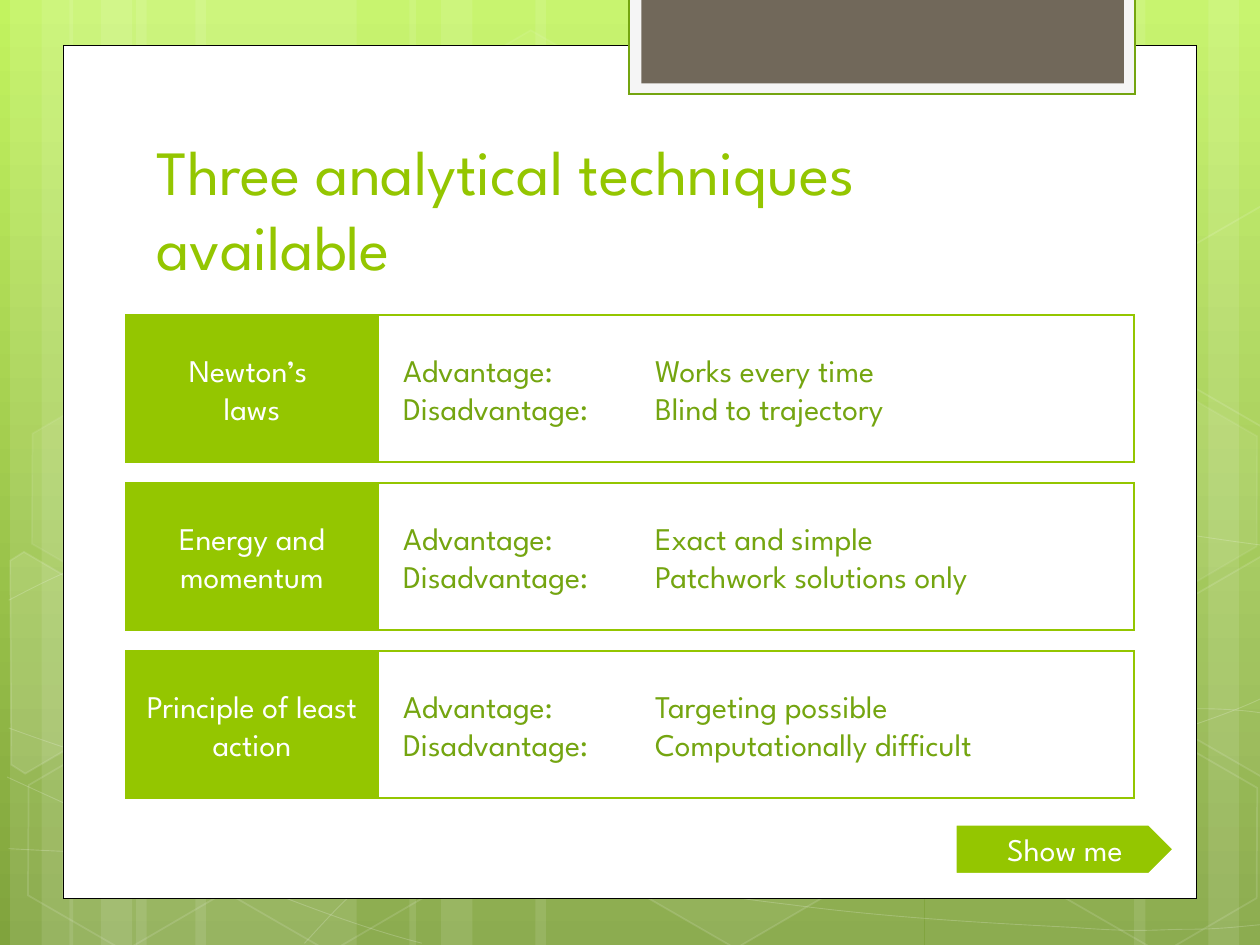
"""Build the slide comparing three analytical techniques."""
from dataclasses import dataclass
from typing import Optional

import pptx
import pptx.dml.color
import pptx.enum.shapes
import pptx.enum.text
import pptx.oxml.ns
import pptx.util

Pt = pptx.util.Pt
RGBColor = pptx.dml.color.RGBColor
MSO_SHAPE = pptx.enum.shapes.MSO_SHAPE
PP_ALIGN = pptx.enum.text.PP_ALIGN
MSO_ANCHOR = pptx.enum.text.MSO_ANCHOR
qn = pptx.oxml.ns.qn

FONT = "League Spartan"
WHITE = RGBColor(0xFF, 0xFF, 0xFF)
BLACK = RGBColor(0x00, 0x00, 0x00)
LIME = RGBColor(0x94, 0xC6, 0x00)
GREEN = RGBColor(0x74, 0xA5, 0x10)
PALE = RGBColor(0xF5, 0xF5, 0xF5)
TAUPE = RGBColor(0x71, 0x68, 0x5A)
SKY_TOP = RGBColor(0xC2, 0xF3, 0x5F)
SKY_BOTTOM = RGBColor(0x80, 0xA3, 0x3D)

SLIDE_W, SLIDE_H = 720, 540
ROW_LEFT, ROW_TOP, ROW_H, ROW_PITCH = 72, 180, 84, 96
LABEL_W, DETAIL_W, TAB_STOP = 144, 432, 144


@dataclass
class Style:
    fill: Optional[RGBColor] = None
    line: Optional[RGBColor] = None
    width: float = 1
    fill_alpha: int = 100
    line_alpha: int = 100


@dataclass
class Hexagon:
    left: float
    top: float
    fill_alpha: int
    line_alpha: int


@dataclass
class Outline:
    points: list
    fill_alpha: int


@dataclass
class Technique:
    name: str
    advantage: str
    disadvantage: str


STRIPES = [(77.8, 126), (5.8, 36), (23.8, 60), (111.6, 126), (39.6, 36), (57.6, 60),
           (528.5, 126), (690.5, 36), (648, 60), (306, 222), (234, 36), (252, 60)]

CURVES = [
    [(5, 485), (44, 487), (83, 489), (137, 488), (191, 487), (258, 486), (330, 479),
     (402, 472), (504, 458), (570, 444), (636, 431), (703, 409), (725, 397)],
    [(5, 343), (26, 332), (47, 321), (87, 310), (128, 300), (186, 284), (250, 279),
     (314, 274), (392, 273), (471, 279), (550, 284), (682, 307), (725, 312)],
    [(4, 444), (91, 484), (178, 523), (241, 539)],
    [(5, 416), (27, 424), (50, 432), (92, 444), (134, 454), (197, 472), (257, 485),
     (317, 497), (392, 510), (452, 517), (512, 525), (576, 528), (614, 530),
     (652, 533), (662, 531), (680, 531), (699, 531), (712, 529), (725, 528)],
    [(174, 539), (187, 525), (200, 510), (217, 498), (235, 484), (259, 470), (279, 460),
     (299, 450), (312, 446), (338, 438), (364, 431), (413, 421), (438, 416),
     (464, 411), (467, 411), (490, 410), (512, 408), (547, 405), (572, 405),
     (597, 404), (638, 405), (638, 405), (654, 405), (670, 405), (686, 405),
     (699, 405), (711, 406), (718, 407), (724, 408), (722, 407), (724, 408)],
]

HEXAGONS = [
    Hexagon(240.5, 25.9, 4, 8), Hexagon(357.1, 424.1, 6, 12),
    Hexagon(7.9, 425.5, 0, 12), Hexagon(10.1, 224.6, 7, 8),
    Hexagon(125.3, 426.2, 0, 12), Hexagon(542.2, 326.2, 10, 12),
    Hexagon(600.5, 427, 0, 12), Hexagon(600.5, 226.1, 7, 8),
]

CUT_HEXAGONS = [
    Outline([(5.8, 320.4), (13.7, 315.4), (69.1, 347.8), (68.4, 410.4),
             (14.4, 442.1), (6.5, 437)], 10),
    Outline([(666.7, 349.2), (721.4, 317.5), (726.5, 321.1), (726.5, 441.4),
             (721.4, 444.2), (666.7, 412.6)], 4),
    Outline([(666.7, 149), (721.4, 117.4), (727.2, 121), (726.5, 241.2),
             (721.4, 244.1), (666.7, 212.4)], 0),
]

TECHNIQUES = [
    Technique("Newton’s \vlaws", "Works every time", "Blind to trajectory"),
    Technique("Energy and\vmomentum", "Exact and simple", "Patchwork solutions only"),
    Technique("Principle of least action", "Targeting possible", "Computationally difficult"),
]


def add_child(parent, tag: str, **attributes: str):
    child = parent.makeelement(qn(tag), attributes)
    parent.append(child)
    return child


def set_alpha(parent, percent: int) -> None:
    if percent < 100:
        color = parent.find(qn("a:solidFill")).find(qn("a:srgbClr"))
        add_child(color, "a:alpha", val=str(percent * 1000))


def apply_style(sp, style: Style) -> None:
    sp.shadow.inherit = False
    if style.fill is None or style.fill_alpha == 0:
        sp.fill.background()
    else:
        sp.fill.solid()
        sp.fill.fore_color.rgb = style.fill
        set_alpha(sp.element.spPr, style.fill_alpha)
    if style.line is None:
        sp.line.fill.background()
    else:
        sp.line.color.rgb = style.line
        sp.line.width = Pt(style.width)
        ln = sp.element.spPr.find(qn("a:ln"))
        set_alpha(ln, style.line_alpha)
        add_child(ln, "a:miter", lim="800000")


def add_preset(s, left: float, top: float, width: float, height: float, style: Style,
               kind=MSO_SHAPE.RECTANGLE):
    sp = s.shapes.add_shape(kind, Pt(left), Pt(top), Pt(width), Pt(height))
    apply_style(sp, style)
    return sp


def add_outline(s, points: list, style: Style, close: bool):
    start, *rest = [(Pt(x), Pt(y)) for x, y in points]
    builder = s.shapes.build_freeform(*start, scale=1.0)
    builder.add_line_segments(rest, close=close)
    sp = builder.convert_to_shape()
    apply_style(sp, style)
    return sp


def add_curve(s, controls: list, style: Style) -> None:
    sp = add_outline(s, controls, style, False)
    segments = list(sp.element.spPr.iter(qn("a:lnTo")))
    outline = segments[0].getparent()
    for i in range(0, len(segments), 3):
        curve = add_child(outline, "a:cubicBezTo")
        for segment in segments[i:i + 3]:
            curve.append(segment[0])
            outline.remove(segment)


def set_text(sp, text: str, size: float, color: RGBColor, align, left_inset: float = 7.2) -> None:
    tf = sp.text_frame
    tf.word_wrap = True
    tf.vertical_anchor = MSO_ANCHOR.MIDDLE
    tf.margin_left = Pt(left_inset)
    tf.text = text
    for p in tf.paragraphs:
        p.alignment = align
        if "\t" in p.text:
            tabs = add_child(p._p.get_or_add_pPr(), "a:tabLst")
            add_child(tabs, "a:tab", pos=str(Pt(TAB_STOP)), algn="l")
        for r in p.runs:
            r.font.name = FONT
            r.font.size = Pt(size)
            r.font.color.rgb = color


def add_background(s) -> None:
    fill = s.background.fill
    fill.gradient()
    fill.gradient_angle = 270
    for stop, color, position in zip(fill.gradient_stops, (SKY_TOP, SKY_BOTTOM), (0, 1)):
        stop.color.rgb = color
        stop.position = position
    for left, width in STRIPES:
        add_preset(s, left, 0, width, SLIDE_H, Style(WHITE, fill_alpha=10))
    for controls in CURVES:
        add_curve(s, controls, Style(None, WHITE, 0.5, line_alpha=20))
    for h in HEXAGONS:
        style = Style(WHITE, WHITE, 1, h.fill_alpha, h.line_alpha)
        sp = add_preset(s, h.left, h.top, 126, 109.4, style, MSO_SHAPE.HEXAGON)
        sp.adjustments[0] = 0.285
        sp.rotation = 30
    for o in CUT_HEXAGONS:
        add_outline(s, o.points, Style(WHITE, WHITE, 1, o.fill_alpha, 12), True)


def add_technique(s, top: float, item: Technique) -> None:
    label = add_preset(s, ROW_LEFT, top, LABEL_W, ROW_H, Style(LIME, LIME, 1.5))
    set_text(label, item.name, 18, WHITE, PP_ALIGN.CENTER)
    detail = add_preset(s, ROW_LEFT + LABEL_W, top, DETAIL_W, ROW_H, Style(WHITE, LIME, 1.5))
    text = f"Advantage:\t{item.advantage}\nDisadvantage:\t{item.disadvantage}"
    set_text(detail, text, 18, GREEN, PP_ALIGN.LEFT, 14.4)


def main() -> None:
    prs = pptx.Presentation()
    prs.slide_width, prs.slide_height = Pt(SLIDE_W), Pt(SLIDE_H)
    s = prs.slides.add_slide(prs.slide_layouts[6])
    add_background(s)
    add_preset(s, 36, 25.9, 648, 487.4, Style(WHITE, BLACK, 0.5))
    add_preset(s, 359.3, -1.4, 289.4, 55.4, Style(PALE, GREEN, 1.25))
    add_preset(s, 366.5, -1.4, 275.8, 49, Style(TAUPE))
    title = s.shapes.add_textbox(Pt(82.1), Pt(66.2), Pt(553), Pt(105.1))
    set_text(title, "Three analytical techniques available", 36, LIME, PP_ALIGN.LEFT)
    for i, item in enumerate(TECHNIQUES):
        add_technique(s, ROW_TOP + i * ROW_PITCH, item)
    button = add_preset(s, 545.8, 470.9, 125.3, 28.8, Style(LIME, WHITE, 1.75), MSO_SHAPE.PENTAGON)
    set_text(button, "Show me", 18, WHITE, PP_ALIGN.CENTER, 14.4)
    prs.save("out.pptx")


if __name__ == "__main__":
    main()
